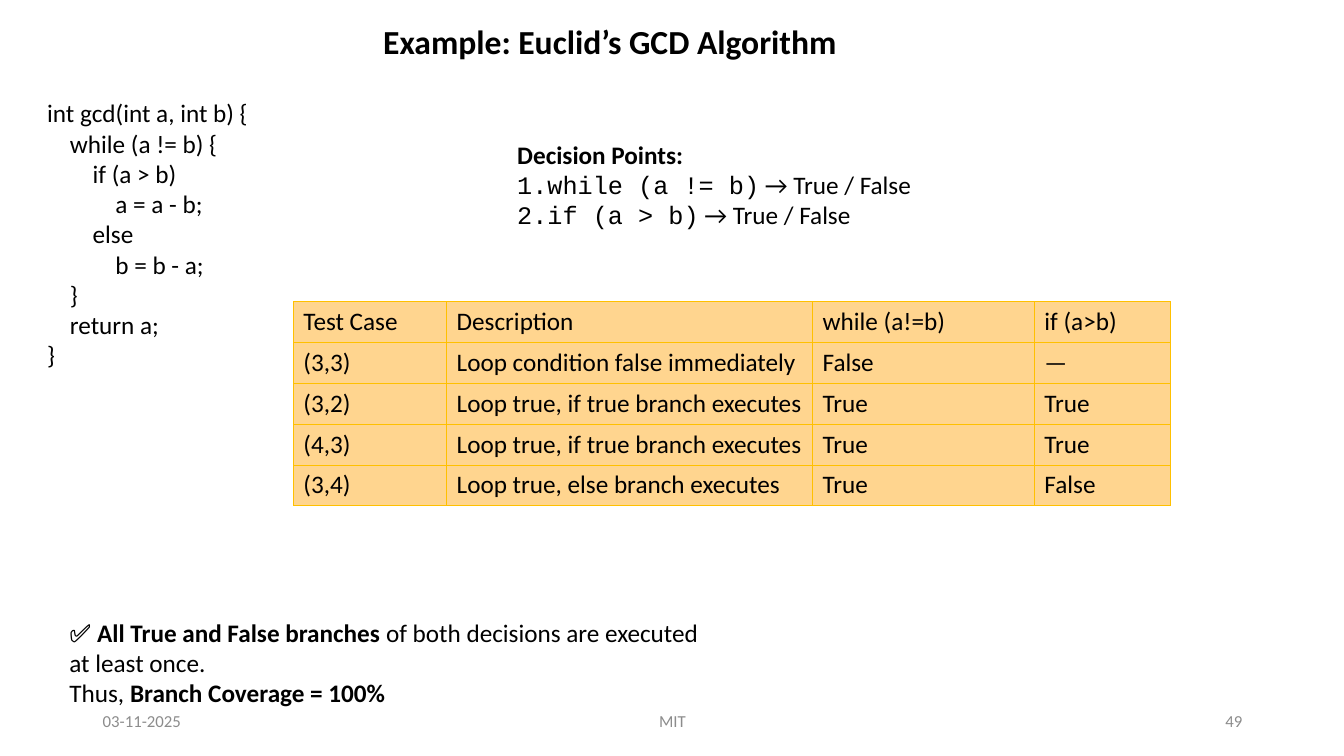
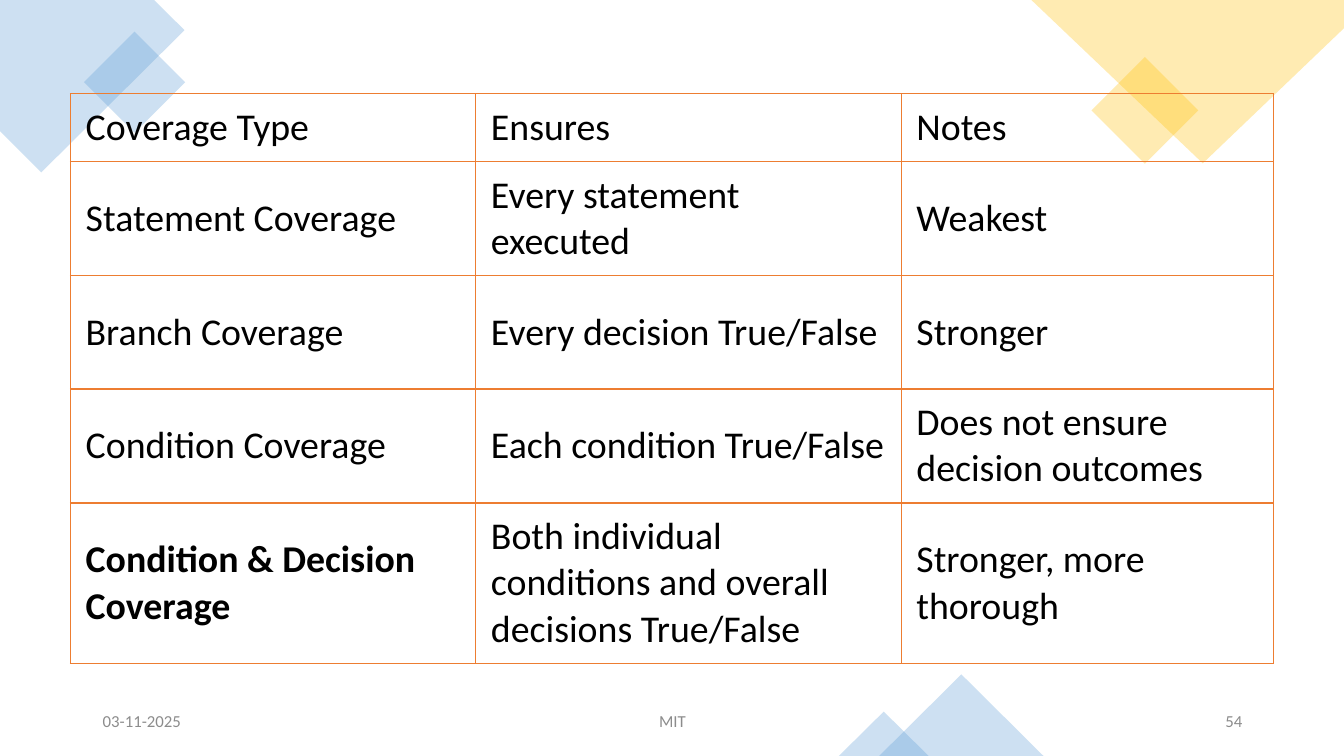
import pptx
import pptx.util
import pptx.dml.color
import pptx.enum.shapes
import pptx.enum.text
import pptx.oxml
import pptx.oxml.ns
from lxml import etree

Inches, Pt = pptx.util.Inches, pptx.util.Pt
RGBColor = pptx.dml.color.RGBColor
SHAPE = pptx.enum.shapes.MSO_SHAPE
ANCHOR = pptx.enum.text.MSO_ANCHOR
ALIGN = pptx.enum.text.PP_ALIGN
qn = pptx.oxml.ns.qn

# Shared style
BLACK = RGBColor(0x00, 0x00, 0x00)
GRAY = RGBColor(0x8C, 0x8C, 0x8C)
BLUE = RGBColor(0x5B, 0x9B, 0xD5)
GOLD = RGBColor(0xFF, 0xC0, 0x00)
ORANGE = RGBColor(0xED, 0x7D, 0x31)
PEACH = RGBColor(0xFF, 0xD5, 0x8F)
FONT, CODE_FONT = "Calibri", "Courier New"
BOLD, CODE = {"bold": True}, {"font": CODE_FONT}

# Content: a paragraph is a string or a list of (text, format) runs
TITLE = "Example: Euclid’s GCD Algorithm"
GCD_CODE = [
    "int gcd(int a, int b) {",
    "    while (a != b) {",
    "        if (a > b)",
    "            a = a - b;",
    "        else",
    "            b = b - a;",
    "    }",
    "    return a;",
    "}",
]
DECISION_POINTS = [
    [("Decision Points:", BOLD)],
    [("while (a != b)", CODE), (" → True / False", {})],
    [("if (a > b)", CODE), (" → True / False", {})],
]
TEST_CASES = [
    ("Test Case", "Description", "while (a!=b)", "if (a>b)"),
    ("(3,3)", "Loop condition false immediately", "False", "—"),
    ("(3,2)", "Loop true, if true branch executes", "True", "True"),
    ("(4,3)", "Loop true, if true branch executes", "True", "True"),
    ("(3,4)", "Loop true, else branch executes", "True", "False"),
]
CONCLUSION = [
    [("✅ ", {}), ("All True and False branches", BOLD),
     (" of both decisions are executed at least once.", {})],
    [("Thus, ", {}), ("Branch Coverage = 100%", BOLD)],
]
COVERAGE_TYPES = [
    ("Coverage Type", "Ensures", "Notes"),
    ("Statement Coverage", "Every statement executed", "Weakest"),
    ("Branch Coverage", "Every decision True/False", "Stronger"),
    ("Condition Coverage", "Each condition True/False",
     "Does not ensure decision outcomes"),
    ([("Condition & Decision Coverage", BOLD)],
     "Both individual conditions and overall decisions True/False",
     "Stronger, more thorough"),
]
DATE, FOOTER = "03-11-2025", "MIT"

# Corner decorations
CORNERS = [
    (BLUE, [(1.53, 0), (0, 0), (0, 1.3), (0.41, 1.71), (1.83, 0.3)]),
    (GOLD, [(13.33, 0), (10.23, 0), (11.93, 1.62), (13.33, 0.28)]),
]
ACCENTS = [
    (SHAPE.RECTANGLE, BLUE, (0.98, 0.46, 0.71, 0.71), 315),
    (SHAPE.RECTANGLE, GOLD, (10.98, 0.72, 0.75, 0.75), 315),
    (SHAPE.ISOSCELES_TRIANGLE, BLUE, (8.72, 6.69, 1.63, 0.81), 0),
    (SHAPE.ISOSCELES_TRIANGLE, BLUE, (8.32, 7.06, 0.89, 0.44), 0),
]


def write(frame, paragraphs, size=18, color=BLACK, bold=False, align=ALIGN.LEFT):
    """Fill a text frame; each run may override the font and weight."""
    for index, content in enumerate(paragraphs):
        paragraph = frame.paragraphs[0] if index == 0 else frame.add_paragraph()
        paragraph.alignment = align
        paragraph.space_before = Pt(0)
        runs = [(content, {})] if isinstance(content, str) else content
        for text, style in runs:
            run = paragraph.add_run()
            run.text = text
            run.font.name = style.get("font", FONT)
            run.font.size = Pt(size)
            run.font.bold = style.get("bold", bold)
            run.font.color.rgb = color


def prepare(shape, box, anchor=ANCHOR.TOP):
    """Place a text shape and return its frame."""
    shape.left, shape.top, shape.width, shape.height = map(Inches, box)
    frame = shape.text_frame
    frame.word_wrap = True
    frame.auto_size = pptx.enum.text.MSO_AUTO_SIZE.NONE
    frame.vertical_anchor = anchor
    return frame


def add_text(slide, box, paragraphs, anchor=ANCHOR.TOP, **style):
    shape = slide.shapes.add_textbox(0, 0, 0, 0)
    write(prepare(shape, box, anchor), paragraphs, **style)


def add_footer(slide, number):
    for left, width, text, align in (
        (0.92, 3, DATE, ALIGN.LEFT),
        (4.42, 4.5, FOOTER, ALIGN.CENTER),
        (9.42, 3, number, ALIGN.RIGHT),
    ):
        add_text(slide, (left, 6.95, width, 0.4), [text], ANCHOR.MIDDLE,
                 size=12, color=GRAY, align=align)


def set_borders(cell, color, width):
    properties = cell._tc.get_or_add_tcPr()
    for position, side in enumerate(("lnL", "lnR", "lnT", "lnB")):
        line = etree.Element(qn("a:" + side), w=str(Pt(width)))
        fill = etree.SubElement(line, qn("a:solidFill"))
        etree.SubElement(fill, qn("a:srgbClr"), val=str(color))
        properties.insert(position, line)


def add_grid(slide, left, top, widths, heights, rows, size, line, line_width,
             fill=None, margins=(0.1, 0.05)):
    table = slide.shapes.add_table(
        len(rows), len(widths), Inches(left), Inches(top),
        Inches(sum(widths)), Inches(sum(heights))).table
    table.first_row = table.horz_banding = False
    for column, width in zip(table.columns, widths):
        column.width = Inches(width)
    for row, height, contents in zip(table.rows, heights, rows):
        row.height = Inches(height)
        for cell, content in zip(row.cells, contents):
            write(cell.text_frame, [content], size=size)
            cell.vertical_anchor = ANCHOR.MIDDLE
            cell.margin_left = cell.margin_right = Inches(margins[0])
            cell.margin_top = cell.margin_bottom = Inches(margins[1])
            if fill is None:
                cell.fill.background()
            else:
                cell.fill.solid()
                cell.fill.fore_color.rgb = fill
            set_borders(cell, line, line_width)


def tint(shape, color):
    """Fill at 30 % opacity, without outline or shadow."""
    shape.shadow.inherit = False
    shape.line.fill.background()
    shape.fill.solid()
    shape.fill.fore_color.rgb = color
    rgb = shape.element.spPr.find(qn("a:solidFill")).find(qn("a:srgbClr"))
    etree.SubElement(rgb, qn("a:alpha"), val="30000")


def add_decorations(slide):
    for color, points in CORNERS:
        start, *rest = [(Inches(x), Inches(y)) for x, y in points]
        outline = slide.shapes.build_freeform(*start)
        outline.add_line_segments(rest, close=True)
        tint(outline.convert_to_shape(), color)
    for kind, color, box, angle in ACCENTS:
        accent = slide.shapes.add_shape(kind, *map(Inches, box))
        accent.rotation = angle
        tint(accent, color)


def build_gcd_slide(deck):
    slide = deck.slides.add_slide(deck.slide_layouts[1])
    write(prepare(slide.shapes.title, (3.7, 0.16, 6.67, 0.5)), [TITLE],
          size=24, bold=True)
    add_text(slide, (0.37, 0.92, 6.67, 2.83), GCD_CODE)

    # Heading followed by a numbered list
    decisions = prepare(slide.placeholders[1], (5.03, 1.33, 6.67, 1.01))
    for index in range(len(DECISION_POINTS)):
        paragraph = decisions.paragraphs[0] if index == 0 else decisions.add_paragraph()
        properties = paragraph._p.get_or_add_pPr()
        properties.set("marL", "0")
        properties.set("indent", "0")
        if index == 0:
            etree.SubElement(properties, qn("a:buNone"))
        else:
            etree.SubElement(properties, qn("a:buFont"), typeface=CODE_FONT)
            etree.SubElement(properties, qn("a:buAutoNum"), type="arabicPeriod")
    for paragraph, content in zip(decisions.paragraphs, DECISION_POINTS):
        write(ParagraphFrame(paragraph), [content])

    add_grid(slide, 2.91, 2.99, (1.52, 3.63, 2.2, 1.35), [0.4] * len(TEST_CASES),
             TEST_CASES, size=18, line=GOLD, line_width=0.5, fill=PEACH)
    add_text(slide, (0.59, 6.07, 6.67, 1.01), CONCLUSION)
    add_footer(slide, "49")


class ParagraphFrame:
    """Lets write() fill one existing paragraph."""

    def __init__(self, paragraph):
        self.paragraphs = [paragraph]


def build_coverage_slide(deck):
    slide = deck.slides.add_slide(deck.slide_layouts[6])
    add_decorations(slide)
    add_grid(slide, 0.7, 0.93, (4.02, 4.22, 3.69), (0.67, 1.13, 1.13, 1.13, 1.59),
             COVERAGE_TYPES, size=27, line=ORANGE, line_width=1,
             margins=(0.15, 0.08))
    add_footer(slide, "54")


def main():
    deck = pptx.Presentation()
    deck.slide_width, deck.slide_height = Inches(13.33), Inches(7.5)
    build_gcd_slide(deck)
    build_coverage_slide(deck)
    deck.save("out.pptx")


if __name__ == "__main__":
    main()
